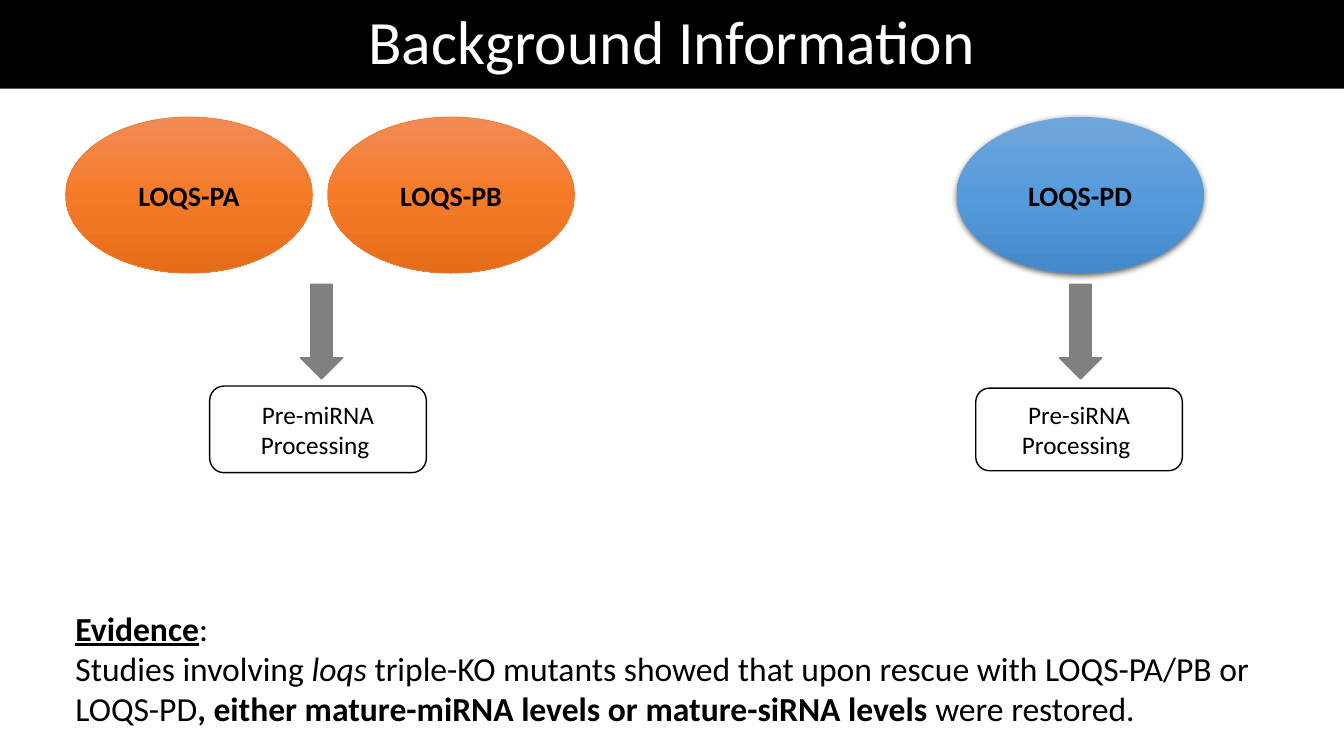
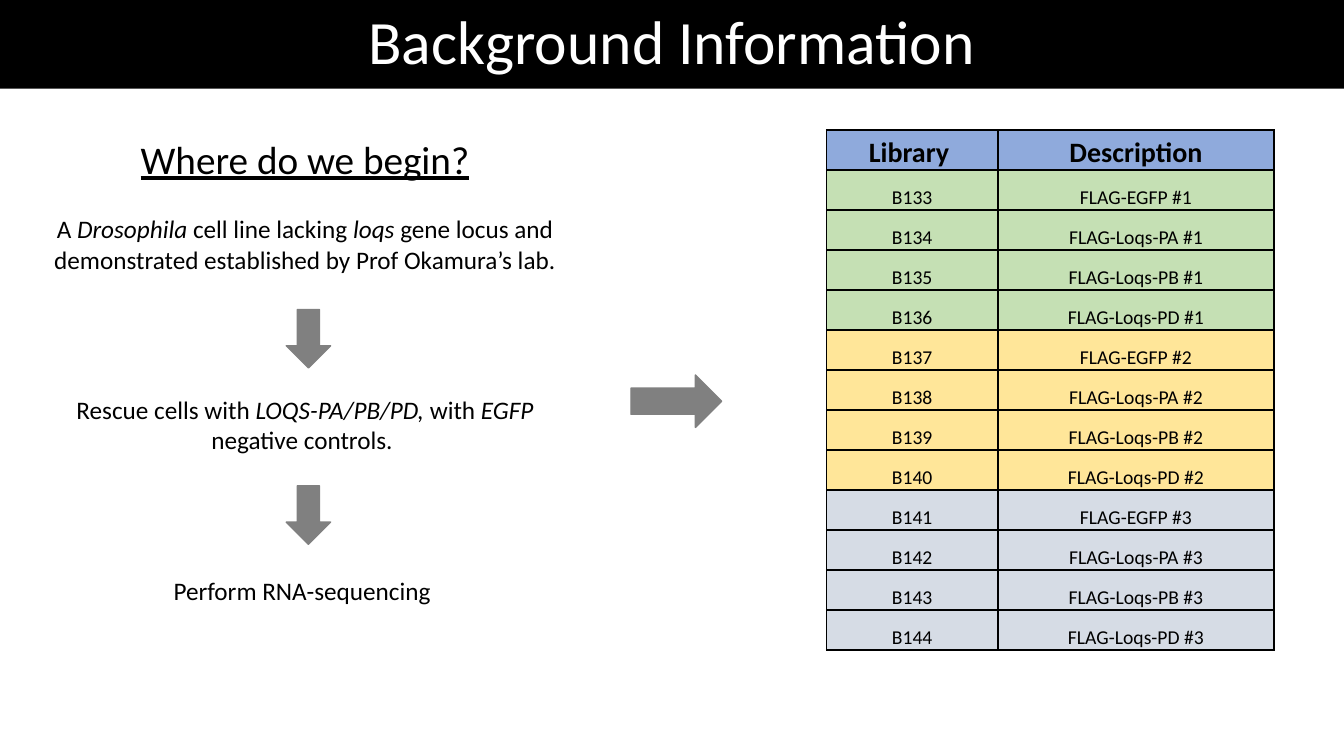
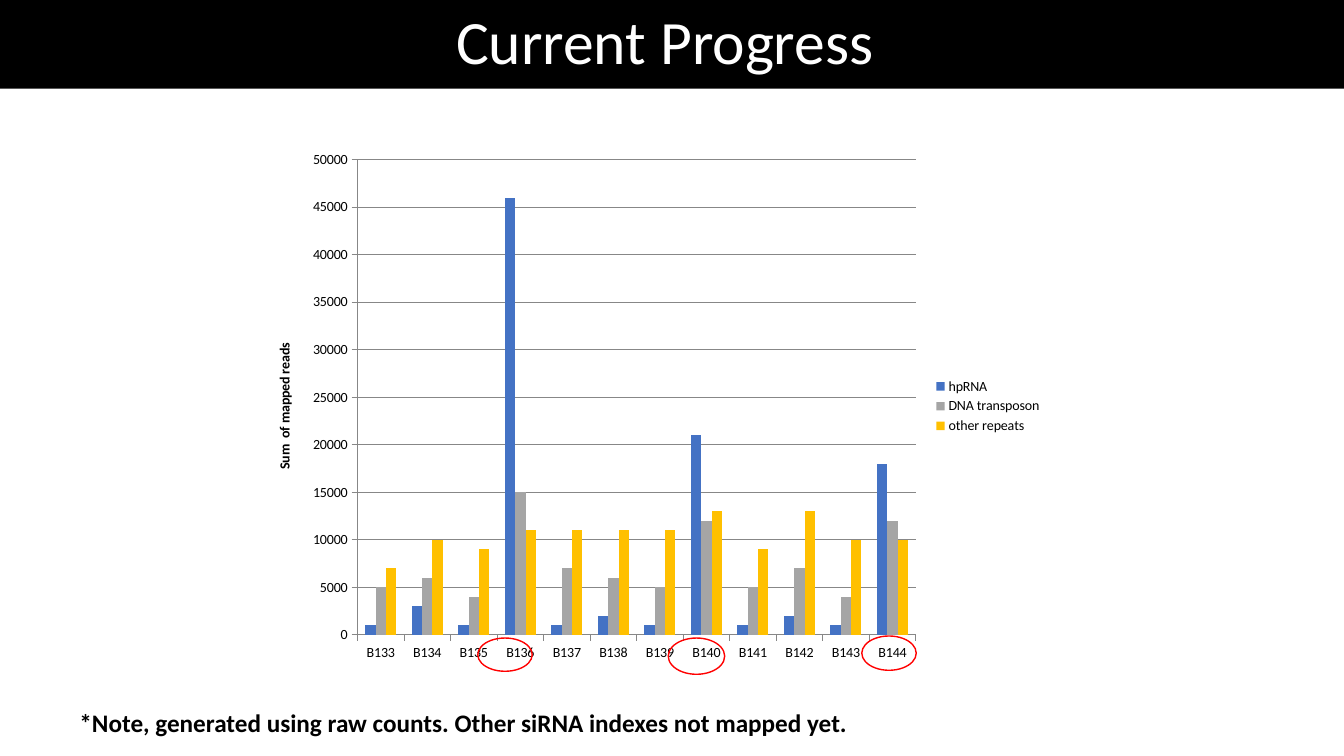
from dataclasses import dataclass

from lxml.etree import SubElement
from pptx import Presentation
from pptx.chart.data import CategoryChartData
from pptx.dml.color import RGBColor
from pptx.enum.chart import XL_CHART_TYPE, XL_LEGEND_POSITION, XL_TICK_MARK
from pptx.enum.shapes import MSO_SHAPE
from pptx.enum.text import MSO_ANCHOR, PP_ALIGN
from pptx.oxml.ns import qn
from pptx.util import Emu, Pt

EMU_PER_PX = 9144  # 100 px to the inch


@dataclass(frozen=True)
class Theme:
    font: str = "Calibri"
    ink: str = "000000"
    paper: str = "FFFFFF"
    arrow: str = "808080"
    mark: str = "FF0000"
    grid: str = "878787"
    orange: tuple = ("F18C57", "F67B28", "E56C19")
    orange_edge: str = "ED7D31"
    blue: tuple = ("71A6DB", "559BDB", "448ACA")
    table_head: str = "8FAADC"
    replicates: tuple = ("C5E0B4", "FFE699", "D6DCE5")
    series: tuple = ("4472C4", "A5A5A5", "FFC000")
    title: int = 44
    heading: int = 28
    evidence: int = 24
    label: int = 20
    body: int = 18
    cell: int = 14
    chart: int = 10


THEME = Theme()

# Text is a list of paragraphs; a paragraph is a string or a list of
# (text, style) runs, where style holds any of b, i and u.
ISOFORMS = [
    ("LOQS-PA", 65, THEME.orange, THEME.orange_edge, False),
    ("LOQS-PB", 325, THEME.orange, THEME.orange_edge, False),
    ("LOQS-PD", 949, THEME.blue, None, True),
]
PATHWAY_ARROWS = [298, 1051]
PROCESSES = [
    ("Pre-miRNA Processing ", (208, 383, 215, 86)),
    ("Pre-siRNA Processing ", (968, 385, 205, 82)),
]
EVIDENCE = [
    [("Evidence", "bu"), (":", "")],
    [("Studies involving ", ""), ("loqs ", "i"),
     ("triple-KO mutants showed that upon rescue with LOQS-PA/PB or LOQS-PD", ""),
     (", either mature-miRNA levels or mature-siRNA levels ", "b"),
     ("were restored.", "")],
]

WORKFLOW_HEADING = [[("Where do we begin?", "u")]]
WORKFLOW = [
    [("A ", ""), ("Drosophila", "i"), (" cell line lacking ", ""), ("loqs", "i"),
     (" gene locus and demonstrated established by Prof Okamura’s lab.", "")],
    [("Rescue cells with ", ""), ("LOQS-PA/PB/PD, ", "i"), ("with ", ""),
     ("EGFP", "i"), (" negative controls. ", "")],
    "Perform RNA-sequencing ",
]
WORKFLOW_ARROWS = [
    (MSO_SHAPE.DOWN_ARROW, (284, 307, 44, 58)),
    (MSO_SHAPE.DOWN_ARROW, (284, 482, 44, 58)),
    (MSO_SHAPE.RIGHT_ARROW, (626, 372, 90, 52)),
]
LIBRARIES = [f"B{number}" for number in range(133, 145)]
CONSTRUCTS = ["EGFP", "Loqs-PA", "Loqs-PB", "Loqs-PD"]
TABLE_HEAD = ("Library ", "Description")
TABLE_COLUMNS = (170, 274)

MAPPED_READS = {
    "hpRNA": (1000, 3000, 1000, 46000, 1000, 2000,
              1000, 21000, 1000, 2000, 1000, 18000),
    "DNA transposon": (5000, 6000, 4000, 15000, 7000, 6000,
                       5000, 12000, 5000, 7000, 4000, 12000),
    "other repeats": (7000, 10000, 9000, 11000, 11000, 11000,
                      11000, 13000, 9000, 13000, 10000, 10000),
}
MARKED_LIBRARIES = [(474, 633, 54, 33), (855, 631, 54, 34), (663, 633, 56, 36)]
NOTE = "*Note, generated using raw counts. Other siRNA indexes not mapped yet."


def px(length):
    return Emu(length * EMU_PER_PX)


def rgb(colour):
    return RGBColor.from_string(colour)


def write_text(frame, paragraphs, size, colour=THEME.ink, bold=False,
               align=PP_ALIGN.LEFT, anchor=MSO_ANCHOR.TOP, spacing=None, gaps=()):
    """Fill a text frame; gaps are the points before each paragraph."""
    frame.word_wrap = True
    frame.vertical_anchor = anchor
    for index, runs in enumerate(paragraphs):
        paragraph = frame.add_paragraph() if index else frame.paragraphs[0]
        paragraph.alignment = align
        if spacing:
            paragraph.line_spacing = spacing
        if gaps:
            paragraph.space_before = Pt(gaps[index])
        for text, style in [(runs, "")] if isinstance(runs, str) else runs:
            run = paragraph.add_run()
            run.text = text
            run.font.name = THEME.font
            run.font.size = Pt(size)
            run.font.color.rgb = rgb(colour)
            run.font.bold = bold or "b" in style
            run.font.italic = "i" in style
            run.font.underline = "u" in style


def add_text(slide, box, paragraphs, **text_format):
    frame = slide.shapes.add_textbox(*map(px, box)).text_frame
    write_text(frame, paragraphs, **text_format)


def add_preset(slide, preset, box, fill=None, line=None, width=1):
    shape = slide.shapes.add_shape(preset, *map(px, box))
    shape.shadow.inherit = False
    if fill:
        shape.fill.solid()
        shape.fill.fore_color.rgb = rgb(fill)
    else:
        shape.fill.background()
    if line:
        shape.line.color.rgb = rgb(line)
        shape.line.width = Pt(width)
    else:
        shape.line.fill.background()
    return shape


def add_arrow(slide, preset, box):
    add_preset(slide, preset, box, THEME.arrow, THEME.arrow)


def shade_downwards(shape, colours):
    shape.fill.gradient()
    shape.fill.gradient_angle = 270
    stops = shape._element.spPr.find(qn("a:gradFill")).find(qn("a:gsLst"))
    for stop in list(stops):
        stops.remove(stop)
    for index, colour in enumerate(colours):
        position = 100000 * index // (len(colours) - 1)
        stop = SubElement(stops, qn("a:gs"), pos=str(position))
        SubElement(stop, qn("a:srgbClr"), val=colour)


def cast_shadow(shape):
    effects = shape._element.spPr.find(qn("a:effectLst"))
    shadow = SubElement(effects, qn("a:outerShdw"), blurRad=str(Pt(4.5)),
                        dist=str(Pt(1.5)), dir="5400000", rotWithShape="0")
    colour = SubElement(shadow, qn("a:srgbClr"), val=THEME.ink)
    SubElement(colour, qn("a:alpha"), val="63000")


def border_cell(cell):
    properties = cell._tc.get_or_add_tcPr()
    for side in ("lnL", "lnR", "lnT", "lnB"):
        line = SubElement(properties, qn(f"a:{side}"), w=str(Pt(1)))
        fill = SubElement(line, qn("a:solidFill"))
        SubElement(fill, qn("a:srgbClr"), val=THEME.ink)


def add_titled_slide(deck, title):
    slide = deck.slides.add_slide(deck.slide_layouts[6])
    band = add_preset(slide, MSO_SHAPE.RECTANGLE, (0, 0, 1333, 88), THEME.ink)
    band.width = deck.slide_width
    write_text(band.text_frame, [title], size=THEME.title, colour=THEME.paper,
               align=PP_ALIGN.CENTER, anchor=MSO_ANCHOR.MIDDLE, spacing=0.9)
    return slide


def add_library_table(slide):
    rows = [(*TABLE_HEAD, THEME.table_head)]
    for index, library in enumerate(LIBRARIES):
        replicate, construct = divmod(index, len(CONSTRUCTS))
        rows.append((library, f"FLAG-{CONSTRUCTS[construct]} #{replicate + 1}",
                     THEME.replicates[replicate]))
    table = slide.shapes.add_table(
        len(rows), len(TABLE_COLUMNS), px(820), px(129),
        px(sum(TABLE_COLUMNS)), px(516)).table
    table.horz_banding = False
    for column, width in zip(table.columns, TABLE_COLUMNS):
        column.width = px(width)
    for row, (*texts, fill) in enumerate(rows):
        for column, text in enumerate(texts):
            cell = table.cell(row, column)
            cell.margin_left = cell.margin_right = cell.margin_top = px(1)
            cell.margin_bottom = 0
            border_cell(cell)
            cell.fill.solid()
            cell.fill.fore_color.rgb = rgb(fill)
            write_text(cell.text_frame, [text], bold=row == 0,
                       size=THEME.cell if row else THEME.label,
                       align=PP_ALIGN.CENTER)
            cell.vertical_anchor = MSO_ANCHOR.BOTTOM


def add_reads_chart(slide):
    data = CategoryChartData()
    data.categories = LIBRARIES
    for name, reads in MAPPED_READS.items():
        data.add_series(name, reads)
    chart = slide.shapes.add_chart(XL_CHART_TYPE.COLUMN_CLUSTERED,
                                   *map(px, (253, 140, 791, 526)), data).chart
    chart.font.name = THEME.font
    chart.font.size = Pt(THEME.chart)
    chart.font.color.rgb = rgb(THEME.ink)
    chart.has_title = False
    chart.has_legend = True
    chart.legend.position = XL_LEGEND_POSITION.RIGHT
    chart.legend.include_in_layout = False

    plot = chart.plots[0]
    plot.gap_width = 150
    plot.vary_by_categories = False
    for series, colour in zip(plot.series, THEME.series):
        series.format.fill.solid()
        series.format.fill.fore_color.rgb = rgb(colour)

    reads_axis = chart.value_axis
    reads_axis.minimum_scale, reads_axis.maximum_scale = 0, 50000
    reads_axis.major_unit = 5000
    reads_axis.has_major_gridlines = True
    write_text(reads_axis.axis_title.text_frame, ["Sum  of mapped reads"],
               size=THEME.chart, bold=True, align=PP_ALIGN.CENTER)
    for axis in (chart.category_axis, reads_axis):
        axis.major_tick_mark = XL_TICK_MARK.OUTSIDE
        axis.format.line.color.rgb = rgb(THEME.grid)
    reads_axis.major_gridlines.format.line.color.rgb = rgb(THEME.grid)


def build_pathways(deck):
    slide = add_titled_slide(deck, "Background Information")
    centred = dict(align=PP_ALIGN.CENTER, anchor=MSO_ANCHOR.MIDDLE)
    for isoform, left, shades, edge, has_shadow in ISOFORMS:
        oval = add_preset(slide, MSO_SHAPE.OVAL, (left, 116, 245, 155),
                          line=edge, width=0.5)
        shade_downwards(oval, shades)
        if has_shadow:
            cast_shadow(oval)
        write_text(oval.text_frame, [isoform], size=THEME.label, bold=True, **centred)
    for left in PATHWAY_ARROWS:
        add_arrow(slide, MSO_SHAPE.DOWN_ARROW, (left, 282, 42, 94))
    for process, box in PROCESSES:
        step = add_preset(slide, MSO_SHAPE.ROUNDED_RECTANGLE, box, line=THEME.ink)
        write_text(step.text_frame, [process], size=THEME.body, **centred)
    add_text(slide, (65, 598, 1218, 131), EVIDENCE, size=THEME.evidence)


def build_workflow(deck):
    slide = add_titled_slide(deck, "Background Information")
    add_text(slide, (35, 129, 535, 60), WORKFLOW_HEADING, size=THEME.heading,
             align=PP_ALIGN.CENTER)
    add_text(slide, (35, 207, 535, 464), WORKFLOW, size=THEME.body,
             align=PP_ALIGN.CENTER, gaps=(0, 86, 86))
    for preset, box in WORKFLOW_ARROWS:
        add_arrow(slide, preset, box)
    add_library_table(slide)


def build_progress(deck):
    slide = add_titled_slide(deck, "Current Progress ")
    add_reads_chart(slide)
    for box in MARKED_LIBRARIES:
        add_preset(slide, MSO_SHAPE.OVAL, box, line=THEME.mark)
    add_text(slide, (69, 697, 1094, 40), [NOTE], size=THEME.body, bold=True)


def main():
    deck = Presentation()
    deck.slide_width, deck.slide_height = Emu(12192000), px(750)
    build_pathways(deck)
    build_workflow(deck)
    build_progress(deck)
    deck.save("out.pptx")


if __name__ == "__main__":
    main()
